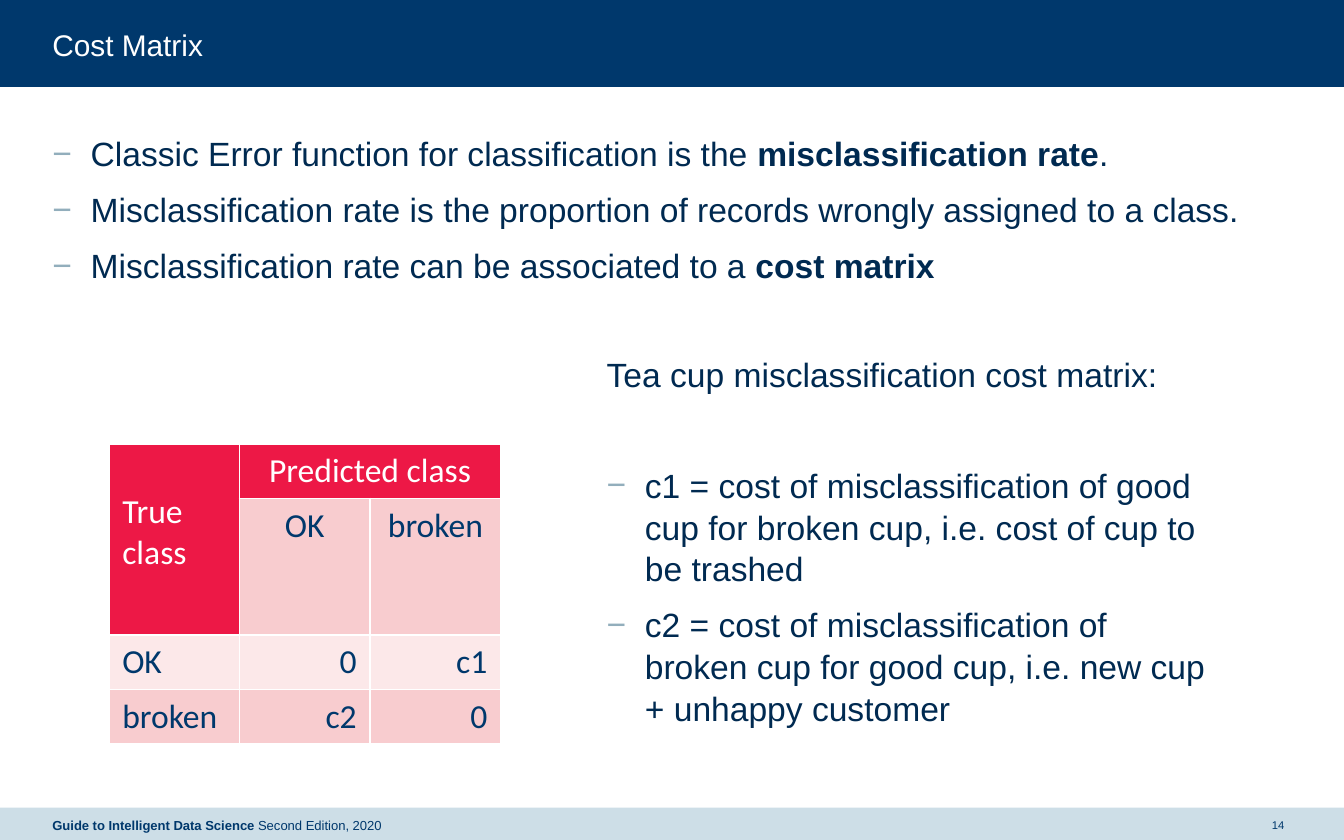
from dataclasses import dataclass

import pptx
import pptx.dml.color
import pptx.enum.shapes
import pptx.enum.text
import pptx.oxml
import pptx.oxml.ns
import pptx.util

Pt = pptx.util.Pt
ALIGN = pptx.enum.text.PP_ALIGN
ANCHOR = pptx.enum.text.MSO_ANCHOR

NAVY, INK, WHITE = "00386C", "002A51", "FFFFFF"
PALE_BLUE, DASH_BLUE = "CDDEE7", "92AEBC"
RED, ROSE, PALE_ROSE = "ED1846", "F8CCCF", "FCE8E9"
LEFT = 28.1
FOOTER_TOP, FOOTER_HEIGHT = 432.7, 18.7
INDENT = 20.5


@dataclass
class Span:
    text: str
    bold: bool = False


@dataclass
class Line:
    spans: list[Span]
    bullet: bool = True
    space_before: float = 7.5


@dataclass
class Cell:
    row: int
    column: int
    text: str
    fill: str
    color: str = NAVY
    align: ALIGN = ALIGN.LEFT
    last_row: int = 0
    last_column: int = 0


def rgb(color: str) -> pptx.dml.color.RGBColor:
    return pptx.dml.color.RGBColor.from_string(color)


def format_font(font, size: float, color: str, name: str = "Arial", bold: bool = False) -> None:
    font.size, font.name, font.bold = Pt(size), name, bold
    font.color.rgb = rgb(color)


def clear_margins(frame) -> None:
    frame.margin_left = frame.margin_top = frame.margin_right = frame.margin_bottom = 0
    frame.word_wrap = True
    frame.auto_size = pptx.enum.text.MSO_AUTO_SIZE.NONE


def add_band(page, top: float, height: float, color: str) -> None:
    band = page.shapes.add_shape(
        pptx.enum.shapes.MSO_SHAPE.RECTANGLE, 0, Pt(top), Pt(720), Pt(height))
    band.shadow.inherit = False
    band.fill.solid()
    band.fill.fore_color.rgb = rgb(color)
    band.line.fill.background()


def add_text_box(page, left: float, top: float, width: float, height: float):
    box = page.shapes.add_textbox(Pt(left), Pt(top), Pt(width), Pt(height))
    clear_margins(box.text_frame)
    return box.text_frame


def add_spans(para, spans: list[Span], size: float, color: str) -> None:
    for span in spans:
        run = para.add_run()
        run.text = span.text
        format_font(run.font, size, color, bold=span.bold)


def add_dash(para) -> None:
    """Give the paragraph a hanging indent and a dash as its bullet."""
    properties = para._p.get_or_add_pPr()
    properties.set("marL", str(Pt(INDENT)))
    properties.set("indent", str(-Pt(INDENT)))
    namespace = pptx.oxml.ns.nsdecls("a")
    properties.append(pptx.oxml.parse_xml(
        f'<a:buClr {namespace}><a:srgbClr val="{DASH_BLUE}"/></a:buClr>'))
    properties.append(pptx.oxml.parse_xml(f'<a:buFont {namespace} typeface="Arial"/>'))
    properties.append(pptx.oxml.parse_xml(f'<a:buChar {namespace} char="−"/>'))


def add_lines(frame, lines: list[Line]) -> None:
    for index, line in enumerate(lines):
        para = frame.add_paragraph() if index else frame.paragraphs[0]
        para.space_before = Pt(line.space_before)
        para.line_spacing = 1.04
        if line.bullet:
            add_dash(para)
        add_spans(para, line.spans, 18, INK)


def add_borders(cell, color: str, width: float) -> None:
    properties = cell._tc.get_or_add_tcPr()
    for position, side in enumerate(("lnL", "lnR", "lnT", "lnB")):
        properties.insert(position, pptx.oxml.parse_xml(
            f'<a:{side} {pptx.oxml.ns.nsdecls("a")} w="{Pt(width)}">'
            f'<a:solidFill><a:srgbClr val="{color}"/></a:solidFill></a:{side}>'))


def add_cost_table(page, cells: list[Cell]) -> None:
    row_heights, column_width = (29.2, 73, 29.2, 29.2), 70
    table = page.shapes.add_table(
        len(row_heights), 3, Pt(58.3), Pt(237.8),
        Pt(3 * column_width), Pt(sum(row_heights))).table
    table.first_row = table.horz_banding = False
    for row, height in zip(table.rows, row_heights):
        row.height = Pt(height)
    for column in table.columns:
        column.width = Pt(column_width)
    for entry in cells:
        cell = table.cell(entry.row, entry.column)
        if entry.last_row or entry.last_column:
            cell.merge(table.cell(entry.last_row, entry.last_column))
        cell.text = entry.text
        cell.fill.solid()
        cell.fill.fore_color.rgb = rgb(entry.fill)
        para = cell.text_frame.paragraphs[0]
        para.alignment = entry.align
        format_font(para.runs[0].font, 18, entry.color, "Calibri")
    table.cell(0, 0).margin_top = Pt(25.6)
    for cell in table.iter_cells():
        add_borders(cell, WHITE, 1)


INTRODUCTION = [
    Line([Span("Classic Error function for classification is the "),
          Span("misclassification rate", True), Span(".")]),
    Line([Span("Misclassification rate is the proportion of records "
               "wrongly assigned to a class.")]),
    Line([Span("Misclassification rate can be associated to a "), Span("cost matrix", True)]),
]
TEA_CUP_COSTS = [
    Line([Span("Tea cup misclassification cost matrix:")], bullet=False),
    Line([Span("c1 = cost of misclassification of good cup for broken cup, "
               "i.e. cost of cup to be trashed")], space_before=37),
    Line([Span("c2 = cost of misclassification of broken cup for good cup, "
               "i.e. new cup + unhappy customer")]),
]
COST_CELLS = [
    Cell(0, 0, "True class", RED, WHITE, last_row=1),
    Cell(0, 1, "Predicted class", RED, WHITE, ALIGN.CENTER, last_column=2),
    Cell(1, 1, "OK", ROSE, align=ALIGN.CENTER),
    Cell(1, 2, "broken", ROSE, align=ALIGN.CENTER),
    Cell(2, 0, "OK", PALE_ROSE),
    Cell(2, 1, "0", PALE_ROSE, align=ALIGN.RIGHT),
    Cell(2, 2, "c1", PALE_ROSE, align=ALIGN.RIGHT),
    Cell(3, 0, "broken", ROSE),
    Cell(3, 1, "c2", ROSE, align=ALIGN.RIGHT),
    Cell(3, 2, "0", ROSE, align=ALIGN.RIGHT),
]


def add_title(page, text: str) -> None:
    title = page.shapes.title
    title.left, title.top, title.width, title.height = Pt(LEFT), Pt(13.7), Pt(664), Pt(20)
    title.text_frame.text = text
    clear_margins(title.text_frame)
    title.text_frame.vertical_anchor = ANCHOR.MIDDLE
    para = title.text_frame.paragraphs[0]
    para.alignment = ALIGN.LEFT
    format_font(para.runs[0].font, 16, WHITE)
    # Bring the title in front of the header band.
    title._element.getparent().append(title._element)


def add_footer(page, left: float, width: float, spans: list[Span], size: float, align) -> None:
    frame = add_text_box(page, left, FOOTER_TOP, width, FOOTER_HEIGHT)
    frame.vertical_anchor = ANCHOR.MIDDLE
    frame.paragraphs[0].alignment = align
    add_spans(frame.paragraphs[0], spans, size, NAVY)


def main() -> None:
    deck = pptx.Presentation()
    deck.slide_width, deck.slide_height = Pt(720), Pt(450)
    page = deck.slides.add_slide(deck.slide_layouts.get_by_name("Title Only"))
    add_band(page, 0, 46.6, NAVY)
    add_band(page, FOOTER_TOP, FOOTER_HEIGHT, PALE_BLUE)
    add_title(page, "Cost Matrix")
    add_lines(add_text_box(page, LEFT, 70.6, 659.5, 116.6), INTRODUCTION)
    add_cost_table(page, COST_CELLS)
    add_lines(add_text_box(page, 325, 188.6, 324.7, 188), TEA_CUP_COSTS)
    add_footer(page, LEFT, 316, [Span("Guide to Intelligent Data Science ", True),
                                 Span("Second Edition, 2020")], 7, ALIGN.LEFT)
    add_footer(page, 677.5, 14.4, [Span("14")], 6, ALIGN.CENTER)
    deck.save("out.pptx")


if __name__ == "__main__":
    main()
